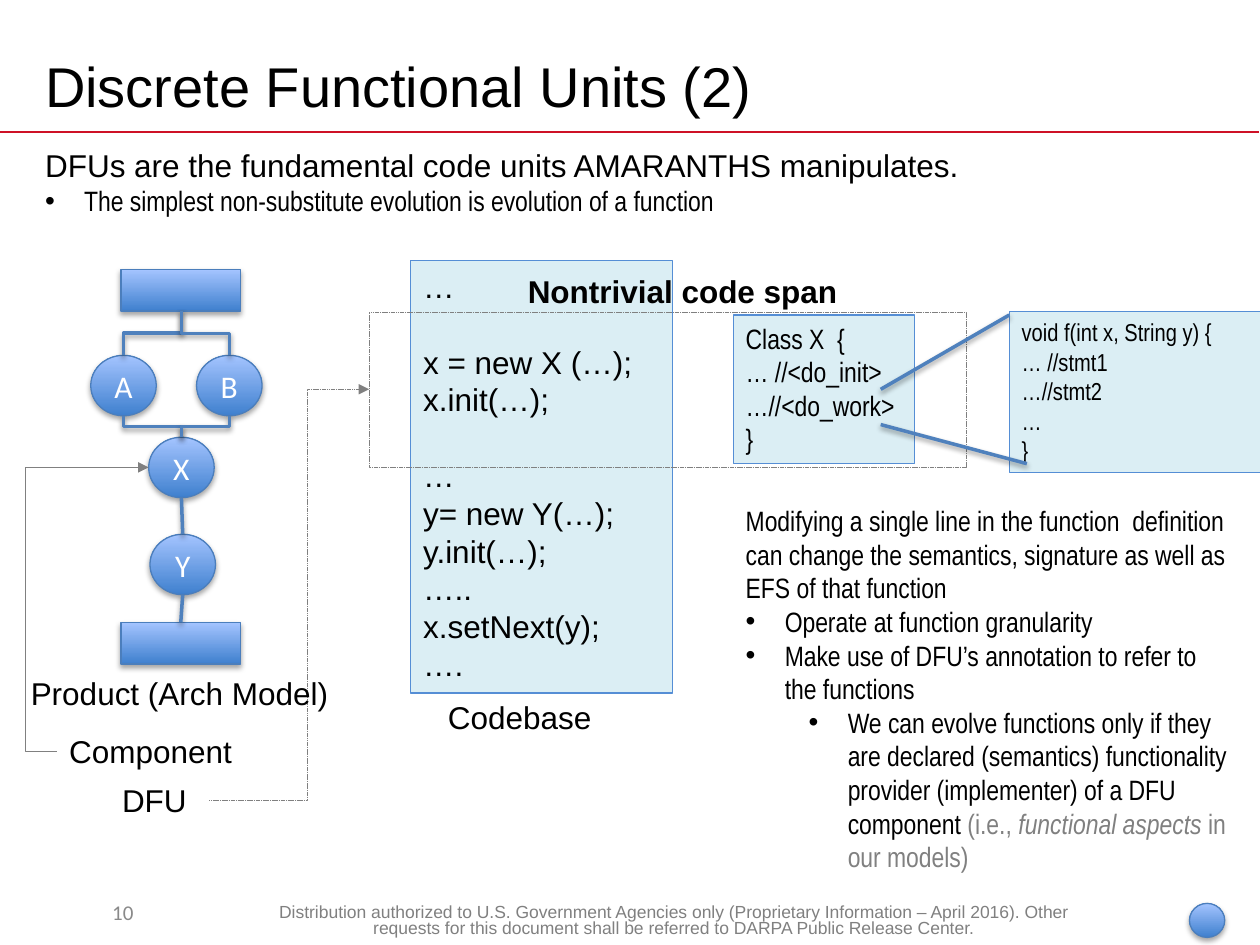
from lxml import etree
from pptx import Presentation
from pptx import util as u
from pptx.dml.color import RGBColor
from pptx.enum import dml, shapes, text
from pptx.oxml.ns import qn

COLS, ROWS = 100, 75
HUES = {"ink": "000000", "white": "FFFFFF", "gray": "808080", "page": "898989",
        "rule": "CE1126", "deep": "3F80CE", "pale": "A4C4FF", "edge": "4B7EBC",
        "link": "4F81BD", "code": "DBEEF4", "rim": "558ED5"}
SANS, SLIM, ROUND = "Arial", "Arial Narrow", "Calibri"
MID, TOP = text.MSO_ANCHOR.MIDDLE, text.MSO_ANCHOR.TOP
CENTER = text.PP_ALIGN.CENTER
RECT, OVAL = shapes.MSO_SHAPE.RECTANGLE, shapes.MSO_SHAPE.OVAL
DOTS = dml.MSO_LINE.SQUARE_DOT


def hue(name):
    return RGBColor.from_string(HUES[name])


def add(parent, tag, **attrs):
    return etree.SubElement(parent, qn(tag), {k: str(v) for k, v in attrs.items()})


class Board:
    """Draws on one slide; all places are in columns and rows of its grid."""

    def __init__(self, deck):
        self.slide = deck.slides.add_slide(deck.slide_layouts[6])
        self.items = self.slide.shapes
        self.col = deck.slide_width / COLS
        self.row = deck.slide_height / ROWS

    def spot(self, x, y):
        return round(x * self.col), round(y * self.row)

    def shade(self, item, alpha, dist):
        """Give the item a soft shadow below, or none when alpha is 0."""
        glow = add(item._element.spPr, "a:effectLst")
        if alpha:
            cast = add(glow, "a:outerShdw", blurRad=u.Pt(3.1), dist=u.Pt(dist),
                       dir=5400000, rotWithShape=0)
            tone = add(cast, "a:srgbClr", val=HUES["ink"])
            add(tone, "a:alpha", val=alpha * 1000)

    def pen(self, line, color, width, dash=None):
        line.color.rgb = hue(color)
        line.width = u.Pt(width)
        if dash:
            line.dash_style = dash

    def style(self, run, size, font, color="ink", bold=None, slant=None):
        run.font.size, run.font.name = u.Pt(size), font
        run.font.bold, run.font.italic = bold, slant
        run.font.color.rgb = hue(color)

    def letter(self, item, lines, size, font=SANS, color="ink", align=None,
               anchor=TOP, bold=None, wrap=True):
        frame = item.text_frame
        frame.word_wrap, frame.vertical_anchor = wrap, anchor
        frame.text = "\n".join(lines)
        for para in frame.paragraphs:
            para.alignment = align or text.PP_ALIGN.LEFT
            for run in para.runs:
                self.style(run, size, font, color, bold)
        return frame.paragraphs

    def label(self, x, y, w, h, lines, size=18, **look):
        box = self.items.add_textbox(*self.spot(x, y), *self.spot(w, h))
        return self.letter(box, lines, size, **look)

    def bullet(self, para, left=3.1, hang=3.1):
        props = para._p.get_or_add_pPr()
        props.set("marL", str(round(left * self.col)))
        props.set("indent", str(round(-hang * self.col)))
        add(props, "a:buFont", typeface=SANS)
        add(props, "a:buChar", char="•")

    def node(self, kind, x, y, w, h, name=""):
        """A glossy blue shape of the product model."""
        item = self.items.add_shape(kind, *self.spot(x, y), *self.spot(w, h))
        item.fill.gradient()
        item.fill.gradient_angle = 90
        for stop, tone in zip(item.fill.gradient_stops, ("deep", "pale")):
            stop.color.rgb = hue(tone)
        self.pen(item.line, "edge", 0.75)
        self.shade(item, 35, 1.8)
        if name:
            self.letter(item, [name], 18, ROUND, "white", CENTER, MID)
        return item

    def panel(self, x, y, w, h, lines, size, font):
        item = self.items.add_shape(RECT, *self.spot(x, y), *self.spot(w, h))
        item.shadow.inherit = False
        item.fill.solid()
        item.fill.fore_color.rgb = hue("code")
        self.pen(item.line, "rim", 0.75)
        return self.letter(item, lines, size, font)

    def frame(self, x, y, w, h):
        item = self.items.add_shape(RECT, *self.spot(x, y), *self.spot(w, h))
        item.shadow.inherit = False
        item.fill.background()
        self.pen(item.line, "gray", 0.25, DOTS)

    def line(self, start, end, color="link", width=2, alpha=38):
        item = self.items.add_connector(shapes.MSO_CONNECTOR.STRAIGHT,
                                        *self.spot(*start), *self.spot(*end))
        self.pen(item.line, color, width)
        self.shade(item, alpha, 1.6)
        return item

    def elbow(self, start, end):
        """Leave downwards, cross over halfway, and arrive downwards."""
        (x, y), (p, q) = self.spot(*start), self.spot(*end)
        cx, cy, dx, dy = (x + p) / 2, (y + q) / 2, (p - x) / 2, (q - y) / 2
        ends = [round(v) for v in (cx - dy, cy + dx, cx + dy, cy - dx)]
        item = self.items.add_connector(shapes.MSO_CONNECTOR.ELBOW, *ends)
        item._element.spPr.find(qn("a:xfrm")).set("rot", "5400000")
        self.pen(item.line, "link", 2)
        self.shade(item, 38, 1.6)

    def arrow(self, start, end, bend, dash=None):
        """Leave sideways and turn at the column called bend."""
        item = self.items.add_connector(shapes.MSO_CONNECTOR.ELBOW,
                                        *self.spot(*start), *self.spot(*end))
        share = round((bend - start[0]) / (end[0] - start[0]) * 100000)
        props = item._element.spPr
        guides = props.find(qn("a:prstGeom")).find(qn("a:avLst"))
        add(guides, "a:gd", name="adj1", fmla=f"val {share}")
        self.pen(item.line, "gray", 0.25, dash)
        add(props.find(qn("a:ln")), "a:tailEnd", type="triangle")
        self.shade(item, 0, 0)


def heads(board):
    board.line((0, 10.5), (99.9, 10.5), "rule", 1, 0)
    foot = board.label(21.1, 71.3, 64.7, 3.1, [
        "Distribution authorized to U.S. Government Agencies only (Proprietary "
        "Information – April 2016). Other requests for this document shall be "
        "referred to DARPA Public Release Center."], 10, color="gray", align=CENTER)
    foot[0].line_spacing = 0.8
    board.label(2.6, 3, 90, 7.5, ["Discrete Functional Units (2)"], 32, anchor=MID)
    board.label(2.8, 70.4, 13.9, 4, ["10"], 12, font=ROUND, color="page",
                align=CENTER, anchor=MID)


def model(board):
    wide, tall = 5.2, 4.8
    spots = {"A": (7.2, 28.2), "B": (15.6, 28.2), "X": (11.8, 34.7), "Y": (11.9, 42.4)}
    for name, (x, y) in spots.items():
        board.node(OVAL, x, y, wide, tall, name)
    board.node(RECT, 9.6, 21.4, 9.5, 3.3)
    base = board.node(RECT, 9.6, 49.4, 9.5, 3.3)
    tops = {name: (x + wide / 2, y) for name, (x, y) in spots.items()}
    feet = {name: (x, y + tall) for name, (x, y) in tops.items()}
    for name in "AB":
        board.elbow((14.4, 24.7), tops[name])
    for name in "AB":
        board.elbow(feet[name], tops["X"])
    board.line(feet["X"], tops["Y"])
    board.line(feet["Y"], (14.35, 49.4)).end_connect(base, 0)


def spans(board):
    rows = board.panel(32.6, 20.7, 20.8, 34.3, [
        "…", "x = new X (…);", "x.init(…);", "…", "y= new Y(…);", "y.init(…);",
        "…..", "x.setNext(y);", "…."], 18, SANS)
    for i in (1, 3):
        rows[i].space_before = u.Pt(21.6)
    board.panel(58.2, 25, 14.4, 11.8, [
        "Class X  {", "… //<do_init>", "…//<do_work>", "}"], 16, SLIM)
    board.panel(80.1, 24.7, 20.9, 12.8, [
        "void f(int x, String y) {", "… //stmt1", "…//stmt2", "…", "}"], 14, SLIM)


def notes(board):
    lead, point = board.label(2.6, 11.1, 93.3, 6.7, [
        "DFUs are the fundamental code units AMARANTHS manipulates.",
        "The simplest non-substitute evolution is evolution of a function"])
    board.style(point.runs[0], 16, SLIM)
    board.bullet(point)
    paras = board.label(58.2, 39.5, 40.5, 30.6, [
        "Modifying a single line in the function  definition can change the "
        "semantics, signature as well as EFS of that function",
        "Operate at function granularity",
        "Make use of DFU’s annotation to refer to the functions",
        "We can evolve functions only if they are declared (semantics) functionality "
        "provider (implementer) of a DFU component "], 16, font=SLIM)
    for para, left in zip(paras[1:], (3.1, 3.1, 8.1)):
        board.bullet(para, left)
    paras[3].level = 1
    for words, slant in (("(i.e., ", False), ("functional aspects ", True),
                         ("in our models)", False)):
        run = paras[3].add_run()
        run.text = words
        board.style(run, 16, SLIM, "gray", slant=slant)


def marks(board):
    board.label(4.5, 57.6, 16.3, 4, ["Component"])
    board.frame(29.3, 24.8, 47.4, 12.3)
    board.arrow((4.5, 59.6), (11.8, 37.1), 2)
    board.arrow((16.6, 63.5), (29.3, 30.9), 24.4, DOTS)
    board.label(8.7, 61.5, 7.9, 4, ["DFU"])
    board.label(0.4, 53, 27.7, 4, ["Product (Arch Model)"], align=CENTER)
    board.label(33.1, 54.9, 16.3, 4, ["Codebase"], align=CENTER)
    board.label(40.9, 21.1, 26.8, 4, ["Nontrivial code span"], bold=True, wrap=False)
    board.line((69.9, 30.9), (80.1, 25))
    board.line((69.9, 33.7), (81.5, 36.8))
    board.node(OVAL, 94.4, 71.7, 2.8, 2.7)


def main():
    deck = Presentation()
    deck.slide_width, deck.slide_height = u.Inches(10), u.Inches(7.5)
    board = Board(deck)
    for part in (heads, model, spans, notes, marks):
        part(board)
    deck.save("out.pptx")


if __name__ == "__main__":
    main()
